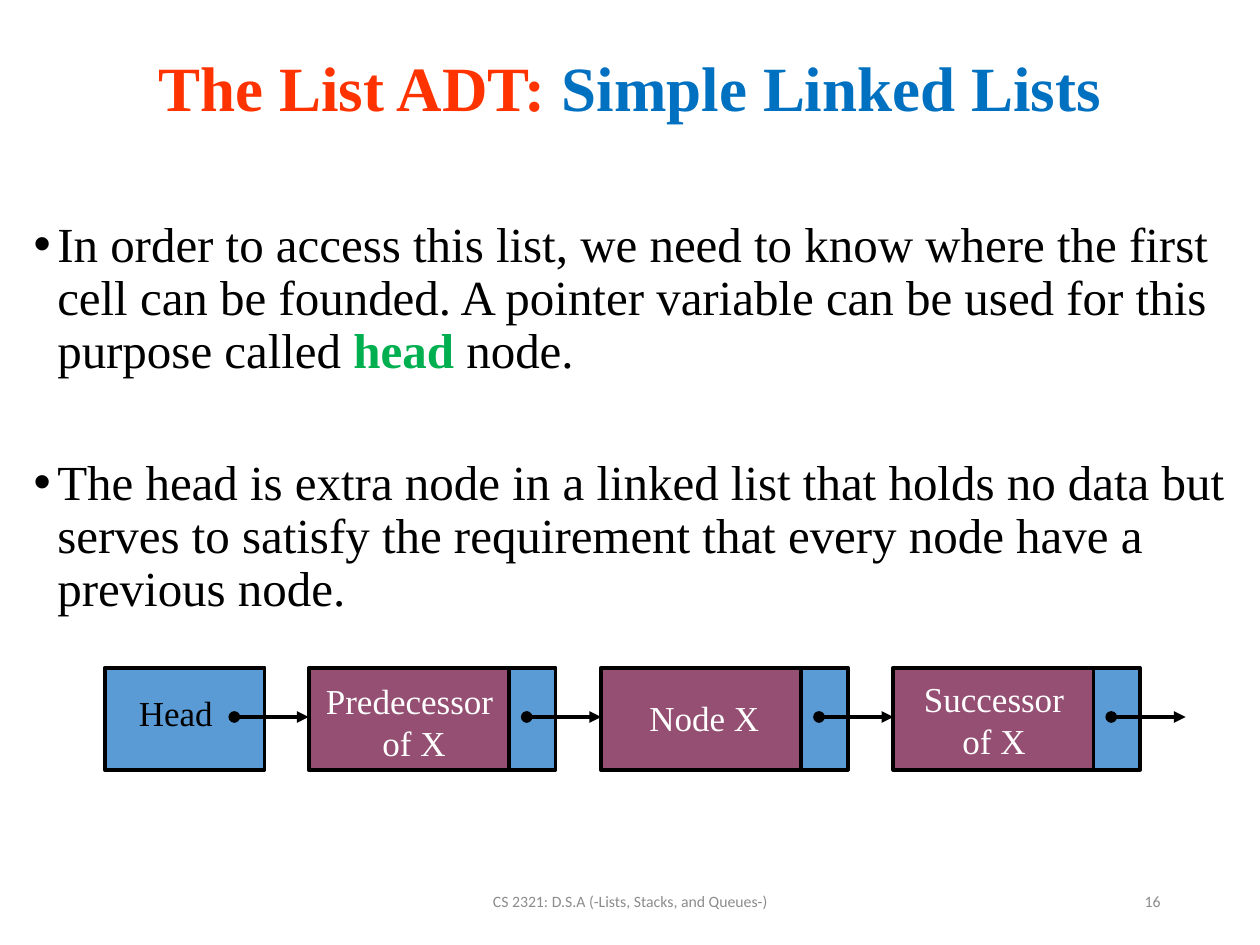
from lxml import etree
from pptx import Presentation
from pptx.dml.color import RGBColor
from pptx.enum.shapes import MSO_CONNECTOR, MSO_SHAPE
from pptx.enum.text import MSO_ANCHOR, PP_ALIGN
from pptx.oxml.ns import qn
from pptx.util import Pt

LEFT, CENTER, RIGHT = PP_ALIGN.LEFT, PP_ALIGN.CENTER, PP_ALIGN.RIGHT
TOP, MIDDLE = MSO_ANCHOR.TOP, MSO_ANCHOR.MIDDLE
RECTANGLE, STRAIGHT = MSO_SHAPE.RECTANGLE, MSO_CONNECTOR.STRAIGHT

SERIF, SANS = "Times New Roman", "Calibri"
BLACK, WHITE, GRAY = "000000", "FFFFFF", "8C8C8C"
RED, BLUE, GREEN = "FF3300", "0070C0", "00B050"
LINK_FILL, CELL_FILL = "5B9BD5", "954F72"
LINE_WIDTH = 2.25


def color(value):
    return RGBColor.from_string(value)


def add_span(para, text, font=SERIF, size=20, fill=BLACK, bold=False):
    span = para.add_run()
    span.text = text
    span.font.name = font
    span.font.size = Pt(size)
    span.font.bold = bold
    span.font.color.rgb = color(fill)


def add_text(page, box, paragraphs, align=LEFT, anchor=TOP, wrap=True, **style):
    """Each paragraph is a list of (text, format overrides) spans."""
    frame = page.shapes.add_textbox(*map(Pt, box)).text_frame
    frame.word_wrap = wrap
    frame.vertical_anchor = anchor
    for index, spans in enumerate(paragraphs):
        para = frame.paragraphs[0] if index == 0 else frame.add_paragraph()
        para.alignment = align
        for text, changes in spans:
            add_span(para, text, **{**style, **changes})
    return frame


def add_bullet(para, indent):
    properties = para._p.get_or_add_pPr()
    properties.set("marL", str(Pt(indent)))
    properties.set("indent", str(-Pt(indent)))
    etree.SubElement(properties, qn("a:buFont")).set("typeface", "Arial")
    etree.SubElement(properties, qn("a:buChar")).set("char", "•")


def add_cell(page, box, fill):
    cell = page.shapes.add_shape(RECTANGLE, *map(Pt, box))
    cell.shadow.inherit = False
    cell.fill.solid()
    cell.fill.fore_color.rgb = color(fill)
    cell.line.color.rgb = color(BLACK)
    cell.line.width = Pt(LINE_WIDTH)


def add_pointer(page, left, y, length):
    arrow = page.shapes.add_connector(
        STRAIGHT, Pt(left), Pt(y), Pt(left + length), Pt(y))
    arrow.line.color.rgb = color(BLACK)
    arrow.line.width = Pt(LINE_WIDTH)
    line = arrow.line._get_or_add_ln()
    etree.SubElement(line, qn("a:headEnd")).set("type", "oval")
    etree.SubElement(line, qn("a:tailEnd")).set("type", "triangle")
    etree.SubElement(arrow._element.spPr, qn("a:effectLst"))


def add_title(page, box):
    spans = [("The List ADT: ", {"fill": RED}),
             ("Simple Linked Lists", {"fill": BLUE})]
    add_text(page, box, [spans], align=CENTER, anchor=MIDDLE, size=36, bold=True)


def add_body(page, box):
    frame = add_text(page, box, [
        [("In order to access this list, we need to know where the first cell "
          "can be founded. A pointer variable can be used for this purpose "
          "called ", {}),
         ("head ", {"fill": GREEN, "bold": True}),
         ("node.", {})],
        [("The head is extra node in a linked list that holds no data but "
          "serves to satisfy the requirement that every node have a previous "
          "node.", {})],
    ], size=28)
    for index, para in enumerate(frame.paragraphs):
        para.line_spacing = 0.9
        para.space_before = Pt(45 if index else 0)
        add_bullet(para, 13.5)


def add_list_diagram(page, box):
    left, top, width, height = box
    head_width, cell_width, link_width = 91.4, 114.5, 26.6
    pointer_length, pointer_inset = 42.5, 10.1
    pitch = 167
    pointer_y = top + 28.1
    first_cell = left + width - pointer_length - pointer_inset - cell_width - 2 * pitch

    # Head node
    add_cell(page, (left, top, head_width, height), LINK_FILL)
    add_pointer(page, first_cell - pointer_length, pointer_y, pointer_length)
    add_text(page, (left + 12.2, top + 10.1, 56.9, 31.7), [[("Head", {})]],
             align=CENTER, wrap=False)

    # Data nodes: label lines, then label offset and size
    nodes = [
        (["Predecessor ", "of X"], 2.2, 2.9, 115.9, 55.4),
        (["Node X"], 20.2, 13, 77.8, 31.7),
        (["Successor", "of X"], 10.1, 2.2, 95, 55.4),
    ]
    for index, (lines, shift, drop, label_width, label_height) in enumerate(nodes):
        x = first_cell + index * pitch
        link = x + cell_width
        add_cell(page, (link, top, link_width, height), LINK_FILL)
        add_pointer(page, link + pointer_inset, pointer_y, pointer_length)
        add_cell(page, (x, top, cell_width, height), CELL_FILL)
        add_text(page, (x + shift, top + drop, label_width, label_height),
                 [[(line, {})] for line in lines],
                 align=CENTER, wrap=False, fill=WHITE)


def add_footer(page, box):
    left, top, width, height = box
    style = {"anchor": MIDDLE, "font": SANS, "size": 9, "fill": GRAY}
    add_text(page, (left, top, 243.4, height),
             [[("CS 2321: D.S.A (-Lists, Stacks, and Queues-)", {})]],
             align=CENTER, **style)
    add_text(page, (left + width - 162, top, 162, height), [[("16", {})]],
             align=RIGHT, **style)


def main():
    deck = Presentation()
    deck.slide_width, deck.slide_height = Pt(720), Pt(540)
    page = deck.slides.add_slide(deck.slide_layouts[6])
    add_body(page, (12.2, 122.4, 696.2, 405.4))
    add_title(page, (36, 27.4, 648, 43.9))
    add_list_diagram(page, (59.8, 381.6, 617.7, 58.3))
    add_footer(page, (238.3, 500.4, 432, 28.8))
    deck.save("out.pptx")


if __name__ == "__main__":
    main()
